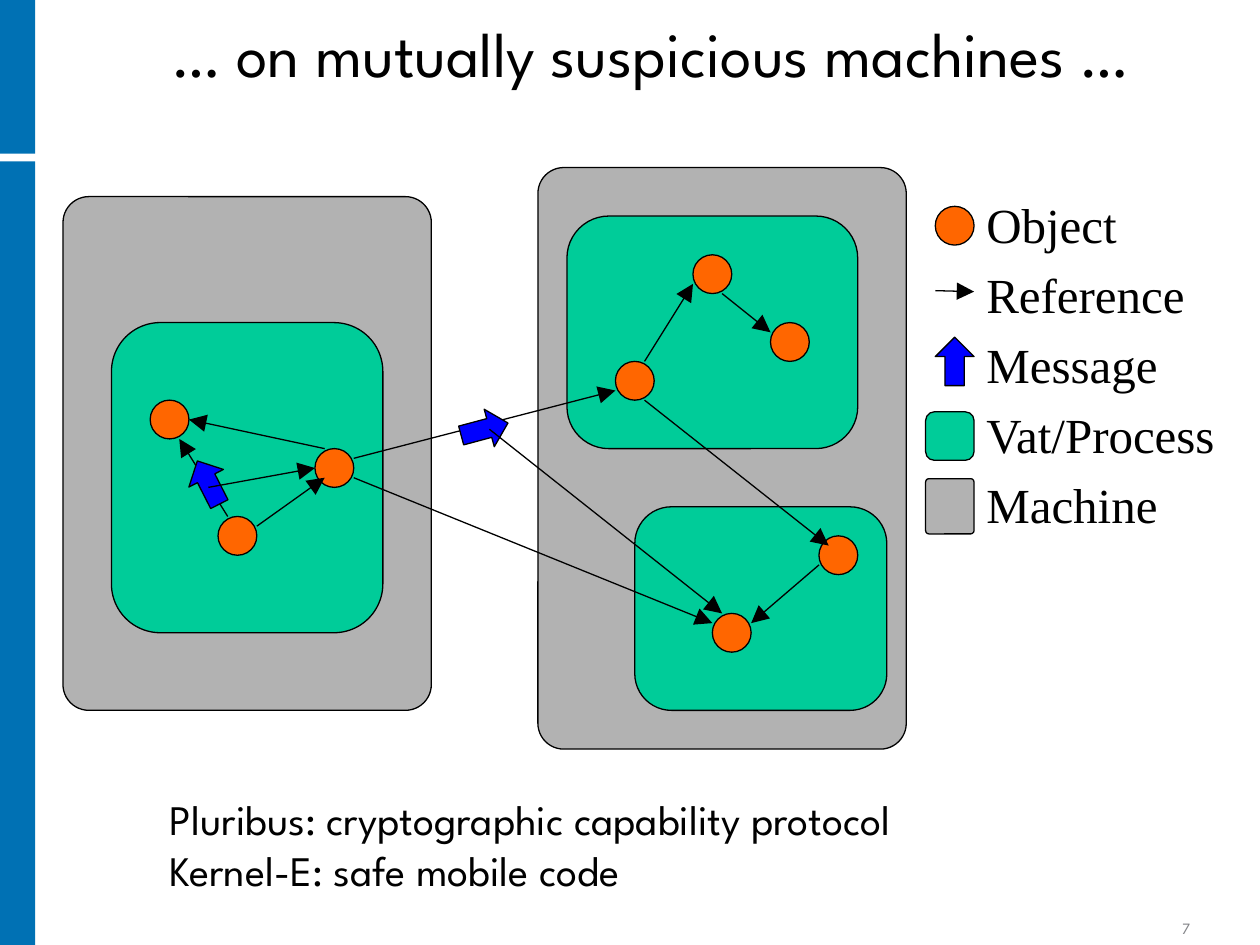
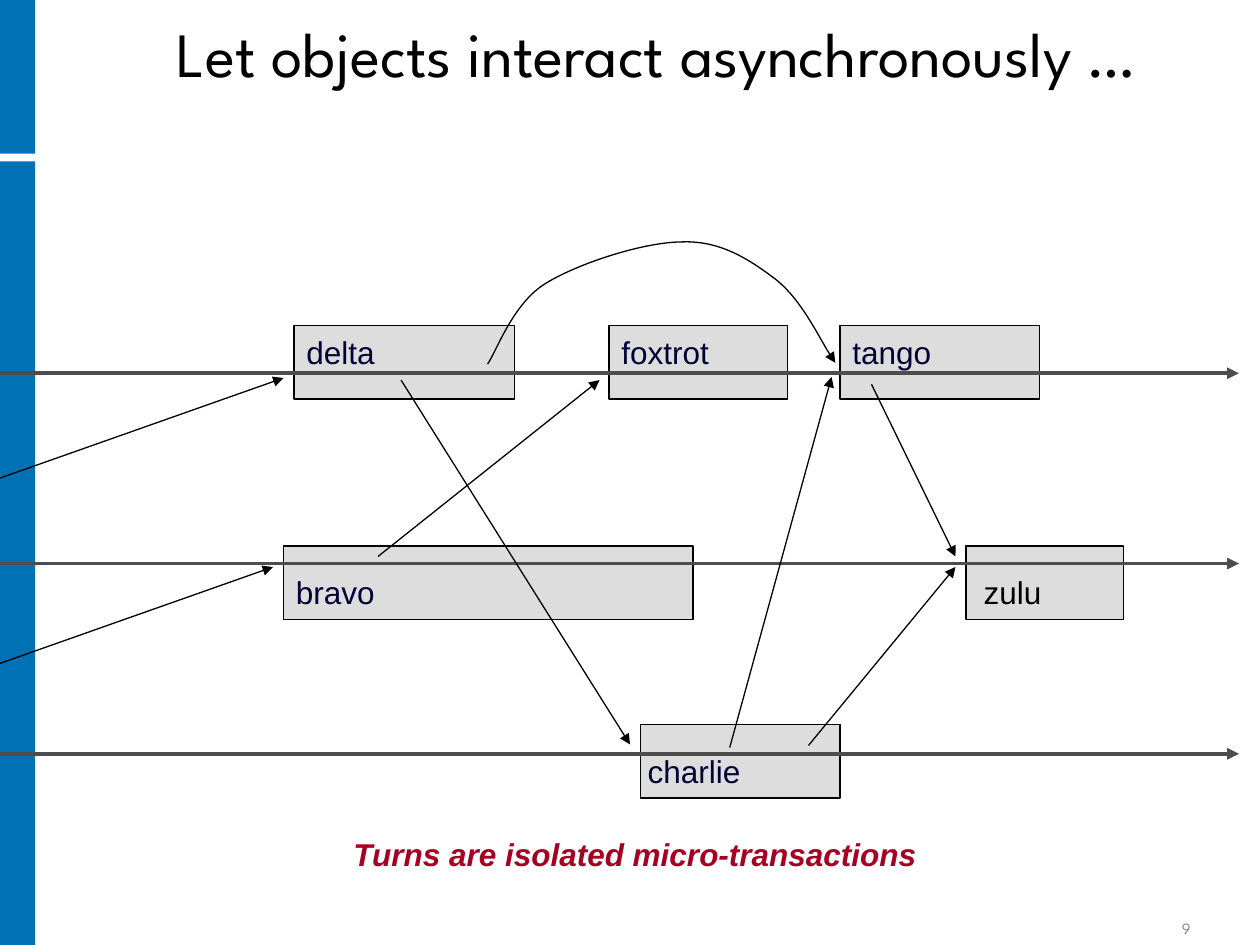
from lxml import etree
from pptx import Presentation, util as u
from pptx.dml.color import RGBColor
from pptx.enum import shapes, text
from pptx.oxml import ns

COLORS = {
    "band": "0071B4", "ink": "000000", "page": "848589",
    "machine": "B2B2B2", "vat": "00CC99", "object": "FF6600", "message": "0000FF",
    "turn": "DDDDDD", "timeline": "4D4D4D", "label": "000033", "zulu": "010000",
    "claim": "A50021",
}
SANS, ARIAL, SERIF = "League Spartan", "Arial", "Times New Roman"
SHAPE = shapes.MSO_SHAPE
ANCHOR, ALIGN = text.MSO_ANCHOR, text.PP_ALIGN
THIN = 0.75
DOT = 4  # object diameter, in cells


class Grid:
    """Turns columns and rows into slide lengths."""

    def __init__(self, cells_per_inch, left=0, top=0):
        self.cell = 1 / cells_per_inch
        self.left, self.top = left, top

    def point(self, col, row):
        return u.Inches(self.left + col * self.cell), u.Inches(self.top + row * self.cell)

    def box(self, col, row, cols, rows):
        return (*self.point(col, row), u.Inches(cols * self.cell), u.Inches(rows * self.cell))


INCHES = Grid(1)
MAP = Grid(13, 0.5, 1.33)
TURNS = Grid(12)


def rgb(name):
    return RGBColor.from_string(COLORS[name])


def add_box(s, kind, box, fill, outline=True, adj=None, rotation=0):
    sp = s.shapes.add_shape(kind, *box)
    sp.shadow.inherit = False
    sp.fill.solid()
    sp.fill.fore_color.rgb = rgb(fill)
    if outline:
        sp.line.color.rgb = rgb("ink")
        sp.line.width = u.Pt(THIN)
    else:
        sp.line.fill.background()
    if adj is not None:
        sp.adjustments[0] = adj
    sp.rotation = rotation
    return sp


def write(p, words, font, size, color, bold=None, italic=None):
    r = p.add_run()
    r.text = words
    r.font.name, r.font.size = font, u.Pt(size)
    r.font.bold, r.font.italic = bold, italic
    r.font.color.rgb = rgb(color)


def add_text(s, box, lines, font, size, color="ink", align=None, anchor=ANCHOR.TOP,
             spacing=None, **style):
    tf = s.shapes.add_textbox(*box).text_frame
    tf.word_wrap = True
    tf.vertical_anchor = anchor
    for i, line in enumerate(lines):
        p = tf.add_paragraph() if i else tf.paragraphs[0]
        p.alignment, p.line_spacing = align, spacing
        write(p, line, font, size, color, **style)


def add_arrowhead(sp, size="med"):
    line = sp.line._get_or_add_ln()
    etree.SubElement(line, ns.qn("a:tailEnd"), type="triangle", w=size, len=size)


def add_arrow(s, start, end, color="ink", width=THIN, head="med"):
    c = s.shapes.add_connector(shapes.MSO_CONNECTOR.STRAIGHT, *start, *end)
    c.line.color.rgb = rgb(color)
    c.line.width = u.Pt(width)
    add_arrowhead(c, head)
    etree.SubElement(c._element.spPr, ns.qn("a:effectLst"))


def add_curved_arrow(s, points):
    """Draw cubic curves through a start point and triples of control points."""
    emu = [INCHES.point(*pt) for pt in points]
    builder = s.shapes.build_freeform(*emu[0])
    builder.add_line_segments(emu[1:], close=False)
    sp = builder.convert_to_shape()
    sp.shadow.inherit = False
    sp.fill.background()
    sp.line.color.rgb = rgb("ink")
    sp.line.width = u.Pt(THIN)
    add_arrowhead(sp)
    segments = sp._element.findall(".//" + ns.qn("a:lnTo"))
    outline = segments[0].getparent()
    for i in range(0, len(segments), 3):
        curve = etree.SubElement(outline, ns.qn("a:cubicBezTo"))
        for segment in segments[i:i + 3]:
            curve.append(segment[0])
            outline.remove(segment)


def add_bands(s):
    """Place the two side bands on the layout, behind its placeholders."""
    tree = s.slide_layout.shapes.element
    for i, (top, height) in enumerate([(0, 1.22), (1.28, 6.22)]):
        band = add_box(s, SHAPE.RECTANGLE, INCHES.box(0, top, 0.28, height), "band", False)
        band.element.nvSpPr.cNvPr.id = 20 + i
        tree.insert(2 + i, band.element)


def add_slide(prs, title, left, page):
    s = prs.slides.add_slide(prs.slide_layouts[5])
    sp = s.shapes.title
    sp.left, sp.top, sp.width, sp.height = INCHES.box(left, 0.12, 10 - left, 1.25)
    tf = sp.text_frame
    tf.word_wrap = True
    tf.auto_size = text.MSO_AUTO_SIZE.NONE
    tf.vertical_anchor = ANCHOR.BOTTOM
    tf.margin_bottom = u.Inches(0.65)
    p = tf.paragraphs[0]
    p.alignment, p.line_spacing = ALIGN.CENTER, 0.9
    write(p, title, SANS, 36, "ink")
    add_text(s, INCHES.box(9, 7.25, 0.83, 0.24), [page], SANS, 9, "page",
             ALIGN.CENTER, ANCHOR.BOTTOM)
    return s


def add_object(s, col, row):
    add_box(s, SHAPE.OVAL, MAP.box(col, row, DOT, DOT), "object")


def add_message(s, col, row, rotation=0):
    add_box(s, SHAPE.UP_ARROW, MAP.box(col, row, 4, 5), "message", rotation=rotation)


def add_vat(s, *cells):
    add_box(s, SHAPE.ROUNDED_RECTANGLE, MAP.box(*cells), "vat", adj=0.18)


def add_machine(s, *cells):
    add_box(s, SHAPE.ROUNDED_RECTANGLE, MAP.box(*cells), "machine", adj=0.07)


def add_reference(s, start, end):
    add_arrow(s, MAP.point(*start), MAP.point(*end), head="lg")


def add_legend(s):
    add_object(s, 90, 4)
    add_reference(s, (90, 12.7), (94, 12.8))
    add_message(s, 90, 17.5)
    add_vat(s, 89, 25.2, 5, 5)
    add_machine(s, 89, 32.1, 5, 5.7)
    for i, name in enumerate(["Object", "Reference", "Message", "Vat/Process", "Machine"]):
        add_text(s, INCHES.box(7.73, 1.53 + 0.555 * i, 2.2, 0.55), [name], SERIF, 28,
                 spacing=0.95)


def build_machines(s):
    for cells in [(49, 0, 38, 60), (0, 3, 38, 53)]:
        add_machine(s, *cells)
    for cells in [(5, 16, 28, 32), (52, 5, 30, 24), (59, 35, 26, 21)]:
        add_vat(s, *cells)
    for cell in [(9, 24), (16, 36), (26, 29), (57, 20), (65, 9), (73, 16), (78, 38), (67, 46)]:
        add_object(s, *cell)
    for start, end in [
        ((17, 36), (12, 28)), ((20, 37), (27, 32)), ((27, 29), (13, 26)),
        ((30, 30), (57, 23)), ((60, 20), (65, 12)), ((68, 13), (73, 17)),
        ((60, 24), (79, 39)), ((78, 41), (71, 47)), ((30, 32), (67, 47)),
    ]:
        add_reference(s, start, end)
    add_message(s, 13, 30, -27)
    add_reference(s, (15, 33), (26, 31))
    add_message(s, 41.5, 24.5, 75)
    add_reference(s, (44, 27), (68, 46))
    add_legend(s)
    add_text(s, INCHES.box(1.25, 6.25, 7, 0.9),
             ["Pluribus: cryptographic capability protocol", "Kernel-E: safe mobile code"],
             SANS, 24)


def build_turns(s):
    # name, column, row, columns, label offset in columns and rows
    turns = [
        ("charlie", 61, 69, 19, -0.5, 2), ("zulu", 92, 52, 15, 0.5, 2),
        ("bravo", 27, 52, 39, 0, 2), ("tango", 80, 31, 19, 0, 0.1),
        ("foxtrot", 58, 31, 17, 0, 0.1), ("delta", 28, 31, 21, 0, 0.1),
    ]
    for _, col, row, cols, _, _ in turns:
        add_box(s, SHAPE.RECTANGLE, TURNS.box(col, row, cols, 7), "turn")
    for i, start in enumerate([-11, -16, -8]):
        row = 35.55 + 18.12 * i
        add_arrow(s, TURNS.point(start, row), TURNS.point(118, row), "timeline", 2.25)
    for start, end in [
        ((38.2, 36.2), (60, 70.9)), ((36, 53), (57.1, 36.2)), ((69.5, 71.2), (79.2, 35.9)),
        ((83, 36.6), (91, 53)), ((77, 71), (91, 54)), ((-8, 66), (26, 54)),
        ((-7, 48), (27, 36)),
    ]:
        add_arrow(s, TURNS.point(*start), TURNS.point(*end))
    for name, col, row, _, dx, dy in turns:
        add_text(s, TURNS.box(col + dx, row + dy, 12.5, 4.8), [name], ARIAL, 18,
                 "zulu" if name == "zulu" else "label")
    add_text(s, INCHES.box(0.83, 6.58, 8.42, 0.4), ["Turns are isolated micro-transactions"],
             ARIAL, 18, "claim", ALIGN.CENTER, bold=True, italic=True)
    add_curved_arrow(s, [
        (3.87, 2.89), (3.94, 2.79), (4.07, 2.41), (4.33, 2.25),
        (4.59, 2.09), (5.11, 1.92), (5.42, 1.92),
        (5.72, 1.91), (5.95, 2.06), (6.16, 2.22),
        (6.36, 2.38), (6.53, 2.74), (6.63, 2.88),
    ])


def main():
    prs = Presentation()
    prs.slide_width, prs.slide_height = u.Inches(10), u.Inches(7.5)
    s = add_slide(prs, "… on mutually suspicious machines …", 0.33, "7")
    add_bands(s)
    build_machines(s)
    build_turns(add_slide(prs, "Let objects interact asynchronously …", 0.42, "9"))
    prs.save("out.pptx")


if __name__ == "__main__":
    main()
